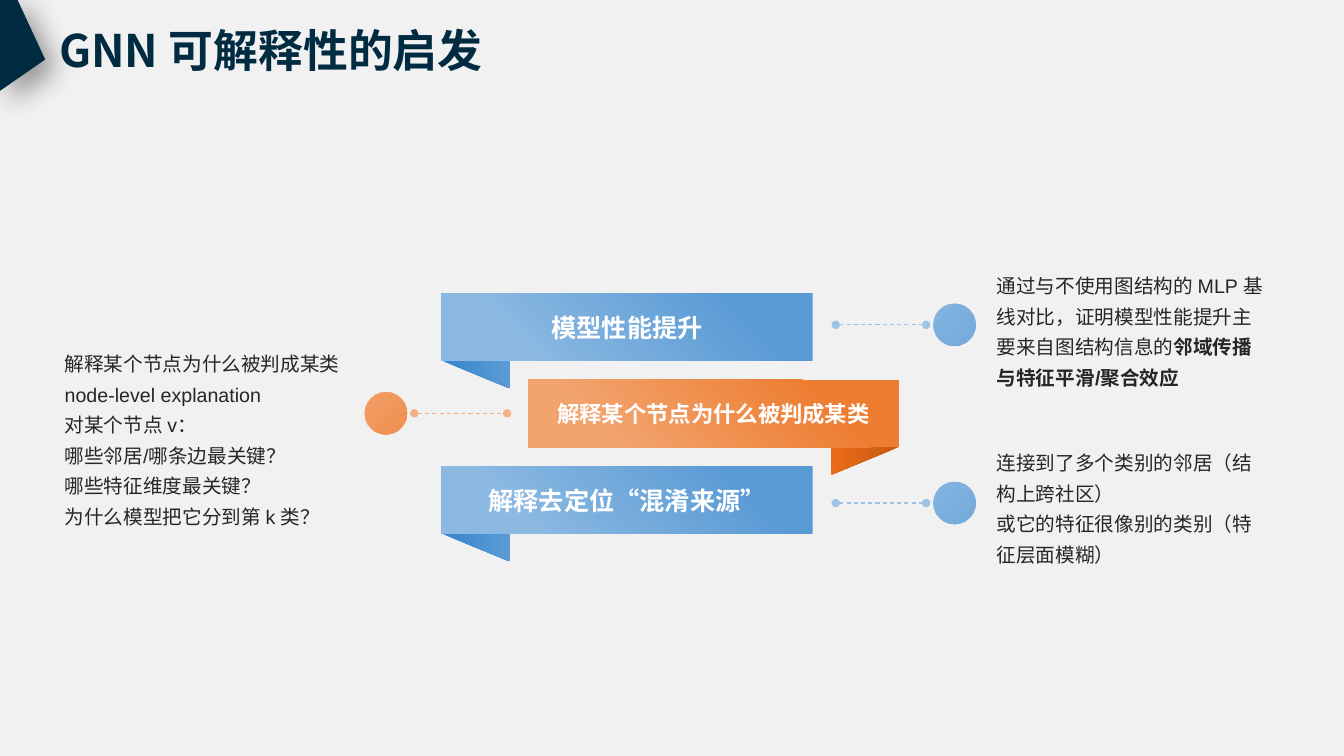
from dataclasses import dataclass, field
from typing import Any

from lxml.etree import SubElement
from pptx import Presentation
from pptx.dml.color import RGBColor
from pptx.enum.dml import MSO_LINE
from pptx.enum.shapes import MSO_CONNECTOR, MSO_SHAPE
from pptx.enum.text import MSO_ANCHOR as Anchor, MSO_AUTO_SIZE as AutoSize, PP_ALIGN as Align
from pptx.oxml.ns import qn
from pptx.util import Cm, Pt


@dataclass(frozen=True)
class Gradient:
    start: str
    end: str
    angle: int
    first: float = 0.0
    last: float = 1.0


@dataclass(frozen=True)
class Palette:
    ribbon: Gradient
    fold: Gradient
    dot: Gradient
    link: str


@dataclass(frozen=True)
class Theme:
    background: str = "F1F1F1"
    navy: str = "002B41"
    ink: str = "262626"
    white: str = "FFFFFF"
    heading_font: str = "Noto Sans CJK SC"
    body_font: str = "Arial"
    title_size: int = 32
    note_size: int = 14
    blue: Palette = Palette(
        Gradient("5B9BD5", "8CB9E2", 135, 0.2, 0.8), Gradient("3785CC", "5B9BD5", 90),
        Gradient("84B4E0", "74AADB", 44), "9DC3E6")
    orange: Palette = Palette(
        Gradient("ED7D31", "F2A46F", 135, 0.2, 0.8), Gradient("C55A11", "EB6C17", 90),
        Gradient("F19E65", "F09050", 44), "F4B183")


@dataclass(frozen=True)
class Span:
    text: str
    bold: bool = False


@dataclass(frozen=True)
class Branch:
    label: str
    label_size: int
    palette: Palette
    ribbon_left: float
    fold_offset: float
    fold_flipped: bool
    dot: tuple[float, float]
    link: tuple[float, float]
    note_box: tuple[float, float, float, float]
    note: list[list[Span]] = field(default_factory=list)


THEME = Theme()
RIBBON_TOP, RIBBON_PITCH = 7.39, 2.18
RIBBON_WIDTH, RIBBON_HEIGHT = 9.35, 1.7
FOLD_WIDTH, FOLD_DROP = 1.47, 0.81
DOT_SIZE = 1.07
BLUE_SIDE = dict(palette=THEME.blue, ribbon_left=11.13, fold_offset=0.13,
                 fold_flipped=False, link=(21.06, 23.34))

BRANCHES = [
    Branch("模型性能提升", 18, **BLUE_SIDE, dot=(23.52, 7.65),
           note_box=(25.12, 6.65, 6.73, 3.25),
           note=[[Span("通过与不使用图结构的 MLP 基线对比，证明模型性能提升主要来自图结构信息的"),
                  Span("邻域传播与特征平滑/聚合效应", True)]]),
    Branch("解释某个节点为什么被判成某类", 16, THEME.orange, 13.31, 7.75, True,
           dot=(9.19, 9.88), link=(10.44, 12.78), note_box=(1.63, 8.79, 7.14, 4.42),
           note=[[Span(question)] for question in (
               "解释某个节点为什么被判成某类", "node-level explanation", "对某个节点 v：",
               "哪些邻居/哪条边最关键？", "哪些特征维度最关键？", "为什么模型把它分到第 k 类？")]),
    Branch("解释去定位“混淆来源”", 18, **BLUE_SIDE, dot=(23.52, 12.14),
           note_box=(25.12, 11.1, 6.73, 3.25),
           note=[[Span("连接到了多个类别的邻居（结构上跨社区）")],
                 [Span("或它的特征很像别的类别（特征层面模糊）")]]),
]


def apply(target: Any, values: dict[str, Any]) -> None:
    for name, value in values.items():
        setattr(target, name, value)


def add_span(paragraph: Any, span: Span, size: int, color: str, font: str) -> None:
    run = paragraph.add_run()
    run.text = span.text
    apply(run.font, {"size": Pt(size), "bold": span.bold, "name": font})
    run.font.color.rgb = RGBColor.from_string(color)
    SubElement(run.font._element, qn("a:ea")).set("typeface", THEME.heading_font)


def add_gradient_shape(slide: Any, kind: MSO_SHAPE, box: tuple[float, ...],
                       gradient: Gradient) -> Any:
    shape = slide.shapes.add_shape(kind, *map(Cm, box))
    shape.shadow.inherit = False
    shape.line.fill.background()
    shape.fill.gradient()
    shape.fill.gradient_angle = 360 - gradient.angle
    stops = ((gradient.first, gradient.start), (gradient.last, gradient.end))
    for stop, (position, color) in zip(shape.fill.gradient_stops, stops):
        stop.position = position
        stop.color.rgb = RGBColor.from_string(color)
    return shape


def add_ribbon(slide: Any, branch: Branch, top: float) -> None:
    fold = add_gradient_shape(
        slide, MSO_SHAPE.PARALLELOGRAM,
        (branch.ribbon_left + branch.fold_offset, top + FOLD_DROP, FOLD_WIDTH, RIBBON_HEIGHT),
        branch.palette.fold)
    fold.adjustments[0] = 0.474
    fold.rotation = 270
    if branch.fold_flipped:
        fold._element.spPr.find(qn("a:xfrm")).set("flipV", "1")
    ribbon = add_gradient_shape(
        slide, MSO_SHAPE.RECTANGLE,
        (branch.ribbon_left, top, RIBBON_WIDTH, RIBBON_HEIGHT), branch.palette.ribbon)
    apply(ribbon.text_frame, {"vertical_anchor": Anchor.MIDDLE, "word_wrap": True})
    paragraph = ribbon.text_frame.paragraphs[0]
    paragraph.alignment = Align.CENTER
    add_span(paragraph, Span(branch.label, True), branch.label_size, THEME.white,
             THEME.body_font)


def add_link(slide: Any, branch: Branch) -> None:
    start, end = map(Cm, branch.link)
    middle = Cm(branch.dot[1] + DOT_SIZE / 2)
    link = slide.shapes.add_connector(MSO_CONNECTOR.STRAIGHT, start, middle, end, middle)
    link.line.color.rgb = RGBColor.from_string(branch.palette.link)
    apply(link.line, {"width": Pt(0.75), "dash_style": MSO_LINE.DASH})
    outline = link._element.spPr.find(qn("a:ln"))
    for tip in ("a:headEnd", "a:tailEnd"):
        SubElement(outline, qn(tip)).set("type", "oval")
    SubElement(link._element.spPr, qn("a:effectLst"))
    add_gradient_shape(slide, MSO_SHAPE.OVAL, (*branch.dot, DOT_SIZE, DOT_SIZE),
                       branch.palette.dot)


def add_note(slide: Any, branch: Branch) -> None:
    frame = slide.shapes.add_textbox(*map(Cm, branch.note_box)).text_frame
    apply(frame, {"word_wrap": True, "vertical_anchor": Anchor.MIDDLE, "margin_left": 0,
                  "margin_right": 0, "margin_top": 0, "margin_bottom": 0})
    for index, spans in enumerate(branch.note):
        paragraph = frame.add_paragraph() if index else frame.paragraphs[0]
        paragraph.line_spacing = 1.3
        for span in spans:
            add_span(paragraph, span, THEME.note_size, THEME.ink, THEME.body_font)


def add_title(slide: Any) -> None:
    title = slide.shapes.title
    apply(title, {"left": Cm(1.24), "top": Cm(0.48), "width": Cm(11.76), "height": Cm(1.52)})
    apply(title.text_frame, {"word_wrap": False, "auto_size": AutoSize.NONE,
                             "vertical_anchor": Anchor.MIDDLE})
    paragraph = title.text_frame.paragraphs[0]
    paragraph.alignment = Align.LEFT
    add_span(paragraph, Span("GNN 可解释性的启发", True), THEME.title_size, THEME.navy,
             THEME.heading_font)


def add_corner(slide: Any) -> None:
    builder = slide.shapes.build_freeform(Cm(0.43), Cm(-0.03))
    builder.add_line_segments([(Cm(0), Cm(-0.03)), (Cm(0), Cm(2.29)), (Cm(1.14), Cm(1.5))])
    corner = builder.convert_to_shape()
    corner.fill.solid()
    corner.fill.fore_color.rgb = RGBColor.from_string(THEME.navy)
    corner.line.fill.background()
    corner.shadow.inherit = False
    effects = corner._element.spPr.find(qn("a:effectLst"))
    shadow = SubElement(effects, qn("a:outerShdw"), blurRad=str(Pt(20)), dist=str(Pt(10)),
                        dir="2700000", algn="tl", rotWithShape="0")
    tint = SubElement(shadow, qn("a:srgbClr"), val="000000")
    SubElement(tint, qn("a:alpha"), val="40000")


def main() -> None:
    deck = Presentation()
    apply(deck, {"slide_width": Cm(33.87), "slide_height": Cm(19.05)})
    slide = deck.slides.add_slide(deck.slide_layouts.get_by_name("Title Only"))
    slide.background.fill.solid()
    slide.background.fill.fore_color.rgb = RGBColor.from_string(THEME.background)
    add_title(slide)
    add_corner(slide)
    for row, branch in enumerate(BRANCHES):
        add_ribbon(slide, branch, RIBBON_TOP + row * RIBBON_PITCH)
        add_link(slide, branch)
        add_note(slide, branch)
    deck.save("out.pptx")


if __name__ == "__main__":
    main()
